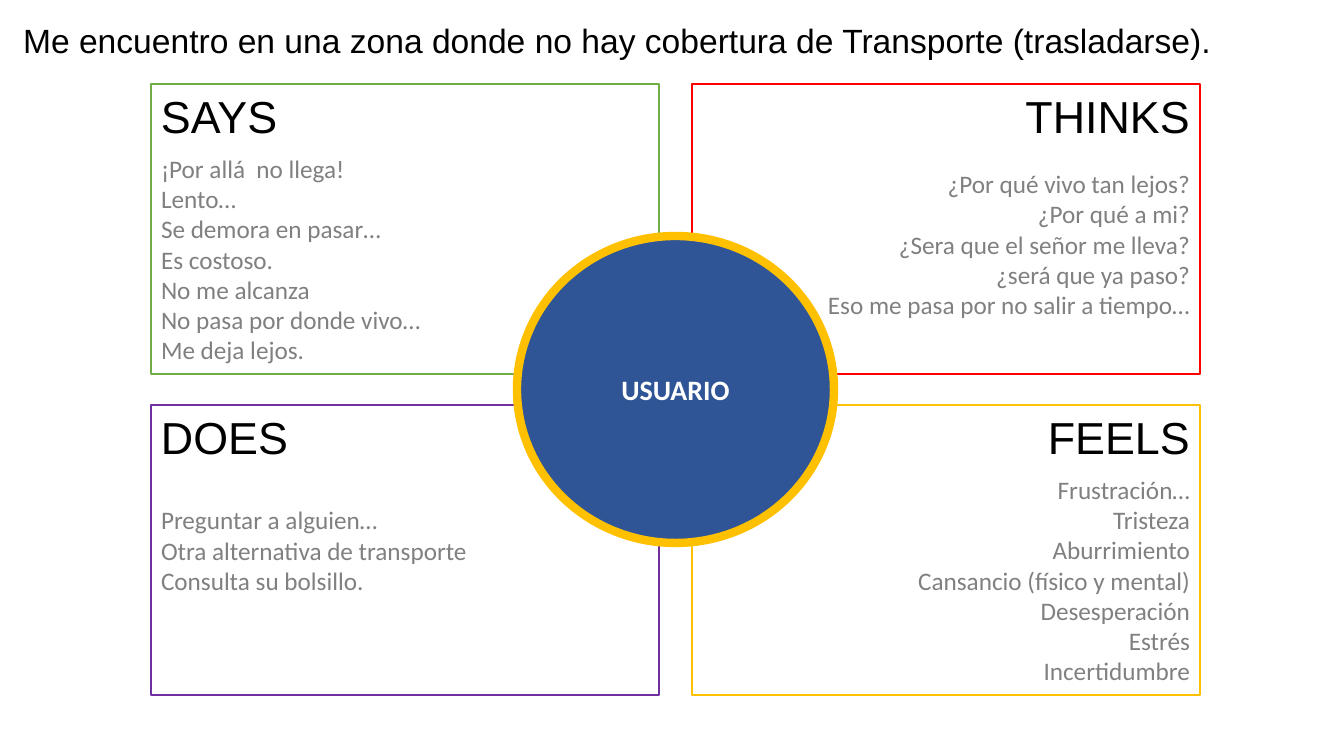
from pptx import Presentation
from pptx.dml.color import RGBColor
from pptx.enum.shapes import MSO_SHAPE
from pptx.enum.text import MSO_ANCHOR, MSO_AUTO_SIZE, PP_ALIGN
from pptx.util import Pt

RECT, OVAL = MSO_SHAPE.RECTANGLE, MSO_SHAPE.OVAL
LEFT, MID, RIGHT = PP_ALIGN.LEFT, PP_ALIGN.CENTER, PP_ALIGN.RIGHT
TOP, CORE = MSO_ANCHOR.TOP, MSO_ANCHOR.MIDDLE
FIXED = MSO_AUTO_SIZE.NONE

SCALE = 914400 / 100.8  # EMU per px
COLORS = {
    "green": "70AD47", "red": "FF0000", "purple": "7030A0", "gold": "FFC000",
    "blue": "2F5597", "gray": "808080", "black": "000000", "white": "FFFFFF",
}
FONTS = {
    "title": {"name": "Arial", "size": Pt(24), "bold": False},
    "head": {"name": "Arial", "size": Pt(32), "bold": False},
    "list": {"name": "Calibri", "size": Pt(18), "bold": False},
    "hub": {"name": "Calibri", "size": Pt(20), "bold": True},
}


def px(n):
    return round(n * SCALE)


def tint(name):
    return RGBColor.from_string(COLORS[name])


class Board:
    def __init__(self, deck):
        self.slide = deck.slides.add_slide(deck.slide_layouts[5])
        self.shapes = self.slide.shapes

    def text(self, shape, lines, font, color, align, anchor, drop=0):
        frame = shape.text_frame
        form = {"word_wrap": True, "auto_size": FIXED, "vertical_anchor": anchor,
                "margin_left": px(10), "margin_right": px(10),
                "margin_top": px(5 + drop), "margin_bottom": px(5)}
        for key, value in form.items():
            setattr(frame, key, value)
        for i, line in enumerate(lines):
            para = frame.paragraphs[0] if i == 0 else frame.add_paragraph()
            para.alignment = align
            run = para.add_run()
            run.text = line
            for key, value in FONTS[font].items():
                setattr(run.font, key, value)
            run.font.color.rgb = tint(color)

    def title(self, text, x, y, w, h):
        shape = self.shapes.title
        place = {"left": x, "top": y, "width": w, "height": h}
        for key, value in place.items():
            setattr(shape, key, px(value))
        self.text(shape, [text], "title", "black", LEFT, TOP)

    def shape(self, kind, x, y, w, h, line, weight, fill=None):
        shape = self.shapes.add_shape(kind, px(x), px(y), px(w), px(h))
        shape.shadow.inherit = False
        shape.line.color.rgb = tint(line)
        shape.line.width = Pt(weight)
        if fill:
            shape.fill.solid()
            shape.fill.fore_color.rgb = tint(fill)
        else:
            shape.fill.background()
        return shape

    def label(self, text, x, y, w, h, align):
        box = self.shapes.add_textbox(px(x), px(y), px(w), px(h))
        self.text(box, [text], "head", "black", align, TOP)


# Quadrants in reading order: heading, border, space above the list, list
QUADS = [
    ("SAYS", "green", 60, [
        "¡Por allá  no llega!", "Lento…", "Se demora en pasar…", "Es costoso.",
        "No me alcanza", "No pasa por donde vivo…", "Me deja lejos."]),
    ("THINKS", "red", 30, [
        "¿Por qué vivo tan lejos?", "¿Por qué a mi?",
        "¿Sera que el señor me lleva?", "¿será que ya paso?",
        "Eso me pasa por no salir a tiempo…"]),
    ("DOES", "purple", 0, [
        "Preguntar a alguien…", "Otra alternativa de transporte",
        "Consulta su bolsillo."]),
    ("FEELS", "gold", 60, [
        "Frustración…", "Tristeza", "Aburrimiento", "Cansancio (físico y mental)",
        "Desesperación", "Estrés", "Incertidumbre"]),
]
X, Y, W, H = 151, 84, 508, 290
STEP_X, STEP_Y = 541, 321
HEAD_W, HEAD_H = 190, 65


def main():
    deck = Presentation()
    deck.slide_width, deck.slide_height = px(1344), px(756)
    board = Board(deck)
    board.title("Me encuentro en una zona donde no hay cobertura de "
                "Transporte (trasladarse).", 13, 15, 1240, 50)

    # Bordered lists
    spots = []
    for i, (head, color, drop, lines) in enumerate(QUADS):
        row, col = divmod(i, 2)
        x, y = X + col * STEP_X, Y + row * STEP_Y
        align = RIGHT if col else LEFT
        box = board.shape(RECT, x, y, W, H, color, 1.5)
        board.text(box, lines, "list", "gray", align, CORE, drop)
        spots.append((head, x + col * (W - HEAD_W), y, align))

    # Central user
    hub = board.shape(OVAL, 517, 236, 317, 307, "gold", 6, "blue")
    board.text(hub, ["USUARIO"], "hub", "white", MID, CORE)

    # Headings
    for head, x, y, align in spots:
        board.label(head, x, y, HEAD_W, HEAD_H, align)

    deck.save("out.pptx")


if __name__ == "__main__":
    main()
